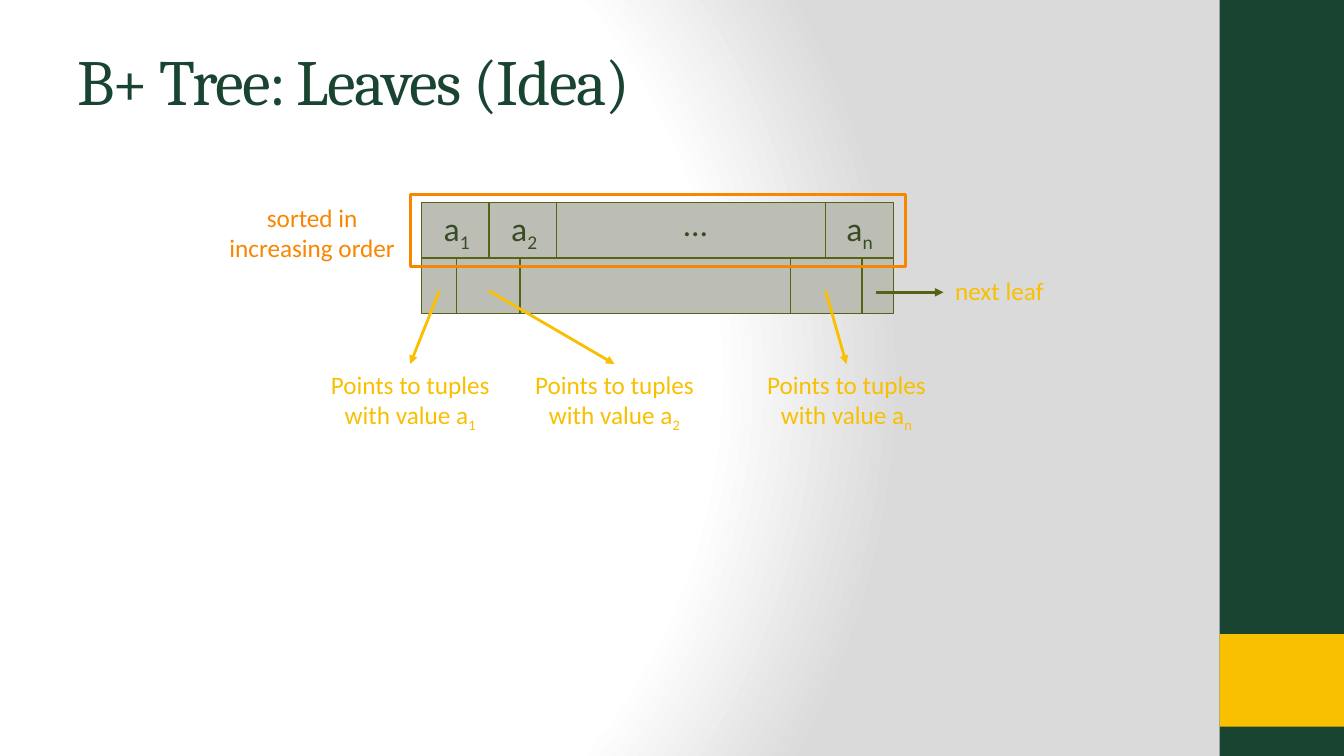
from lxml import etree
from pptx import Presentation
from pptx.dml.color import RGBColor
from pptx.enum import shapes, text
from pptx.oxml import parse_xml
from pptx.oxml.ns import nsdecls, qn
from pptx.util import Pt

GREEN, GOLD, ORANGE, OLIVE, KEY_INK = "194431", "F8C000", "F88600", "576213", "374C22"
rgb = RGBColor.from_string


def draw_line(start, end, color, width, arrow=False):
    line = slide.shapes.add_connector(
        shapes.MSO_CONNECTOR.STRAIGHT, *[Pt(v) for v in (*start, *end)])
    line.line.color.rgb = rgb(color)
    line.line.width = Pt(width)
    if arrow:
        etree.SubElement(line.line._get_or_add_ln(), qn("a:tailEnd"), type="triangle")
    etree.SubElement(line._element.spPr, qn("a:effectLst"))


def write(place, lines, size, color, subscript="", break_lines=False):
    frame = slide.shapes.add_textbox(*[Pt(v) for v in place]).text_frame
    frame.word_wrap = False
    frame.auto_size = text.MSO_AUTO_SIZE.SHAPE_TO_FIT_TEXT
    paragraph = frame.paragraphs[0]
    paragraph.alignment = text.PP_ALIGN.CENTER
    for i, words in enumerate(lines + [subscript] * bool(subscript)):
        if 0 < i < len(lines):
            if break_lines:
                paragraph.add_line_break()
            else:
                paragraph = frame.add_paragraph()
                paragraph.alignment = text.PP_ALIGN.CENTER
        run = paragraph.add_run()
        run.text = words
        run.font.name = "Calibri"
        run.font.size = Pt(size)
        run.font.color.rgb = rgb(color)
        if i == len(lines):
            run.font._element.set("baseline", "-25000")


deck = Presentation()
deck.slide_width, deck.slide_height = Pt(960), Pt(540)
slide = deck.slides.add_slide(deck.slide_layouts[6])

backdrop = slide.background.fill
backdrop.gradient()
old_gradient = slide.background._cSld.find(".//" + qn("a:gradFill"))
stops = "".join(
    f'<a:gs pos="{share * 1000}"><a:srgbClr val="{color}"/></a:gs>'
    for share, color in [(0, "FFFFFF"), (75, "FFFFFF"), (100, "DADADA")])
old_gradient.getparent().replace(old_gradient, parse_xml(
    f'<a:gradFill {nsdecls("a")} rotWithShape="1"><a:gsLst>{stops}</a:gsLst>'
    '<a:path path="circle"><a:fillToRect l="20000" t="50000" r="100000" b="50000"/>'
    '</a:path></a:gradFill>'))

left, top, middle, bottom, right = 301, 144.7, 184.3, 224, 638.4
for place, fill, border in [
    ((871.2, 0, 88.8, 540), GREEN, None),
    ((871.2, 452.9, 88.8, 66.2), GOLD, None),
    ((left, top, right - left, bottom - top), "BCBEB5", OLIVE),
]:
    block = slide.shapes.add_shape(shapes.MSO_SHAPE.RECTANGLE, *[Pt(v) for v in place])
    block.shadow.inherit = False
    block.fill.solid()
    block.fill.fore_color.rgb = rgb(fill)
    if border:
        block.line.color.rgb = rgb(border)
        block.line.width = Pt(1)
    else:
        block.line.fill.background()

heading = slide.shapes.add_textbox(Pt(48), Pt(26), Pt(800), Pt(90)).text_frame
heading.word_wrap = True
title = heading.paragraphs[0].add_run()
title.text = "B+ Tree: Leaves (Idea)"
title.font.name = "Cambria"
title.font.size = Pt(46)
title.font.color.rgb = rgb(GREEN)
title.font._element.set("spc", "-100")

draw_line((left, middle), (right, middle), OLIVE, 1)
for low, high, dividers in [
    (middle, top, (349.2, 397.4, 589.7)),
    (bottom, middle, (326.2, 371.5, 564.5, 615.6)),
]:
    for x in dividers:
        draw_line((x, low), (x, high), OLIVE, 1)

for index, key_left, pointer_x, target_x in [
    ("1", 308.9, 313.9, 293),
    ("2", 357.1, 349.2, 438.9),
    ("n", 596.7, 589.7, 604.6),
]:
    write((key_left, top, 34.6, 36), ["a"], 24, KEY_INK, index)
    draw_line((pointer_x, 207.7), (target_x, 260), GOLD, 2, arrow=True)
    write((target_x - 64.5, 260, 129, 51), ["Points to tuples", "with value a"],
          18, GOLD, index, break_lines=True)

write((674.6, 193, 78.5, 29), ["next leaf"], 18, GOLD)
draw_line((625.7, 208.8), (673.9, 208.8), "586215", 2, arrow=True)

sorted_keys = slide.shapes.add_shape(
    shapes.MSO_SHAPE.RECTANGLE, Pt(293), Pt(139), Pt(353.8), Pt(51.6))
sorted_keys.shadow.inherit = False
sorted_keys.fill.background()
sorted_keys.line.color.rgb = rgb(ORANGE)
sorted_keys.line.width = Pt(2)

write((156, 141.1, 134, 51), ["sorted in", "increasing order"], 18, ORANGE)
write((481, 141.1, 31.7, 36), ["…"], 24, KEY_INK)

deck.save("out.pptx")
